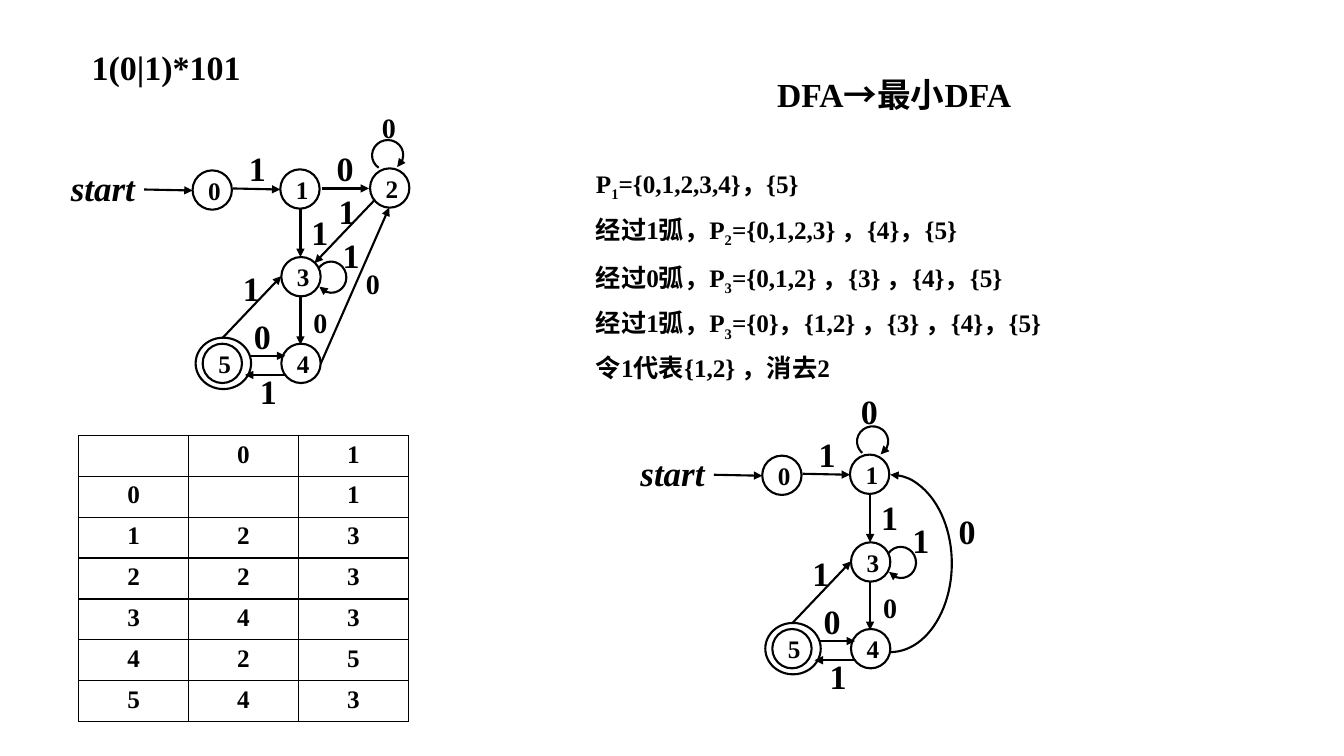
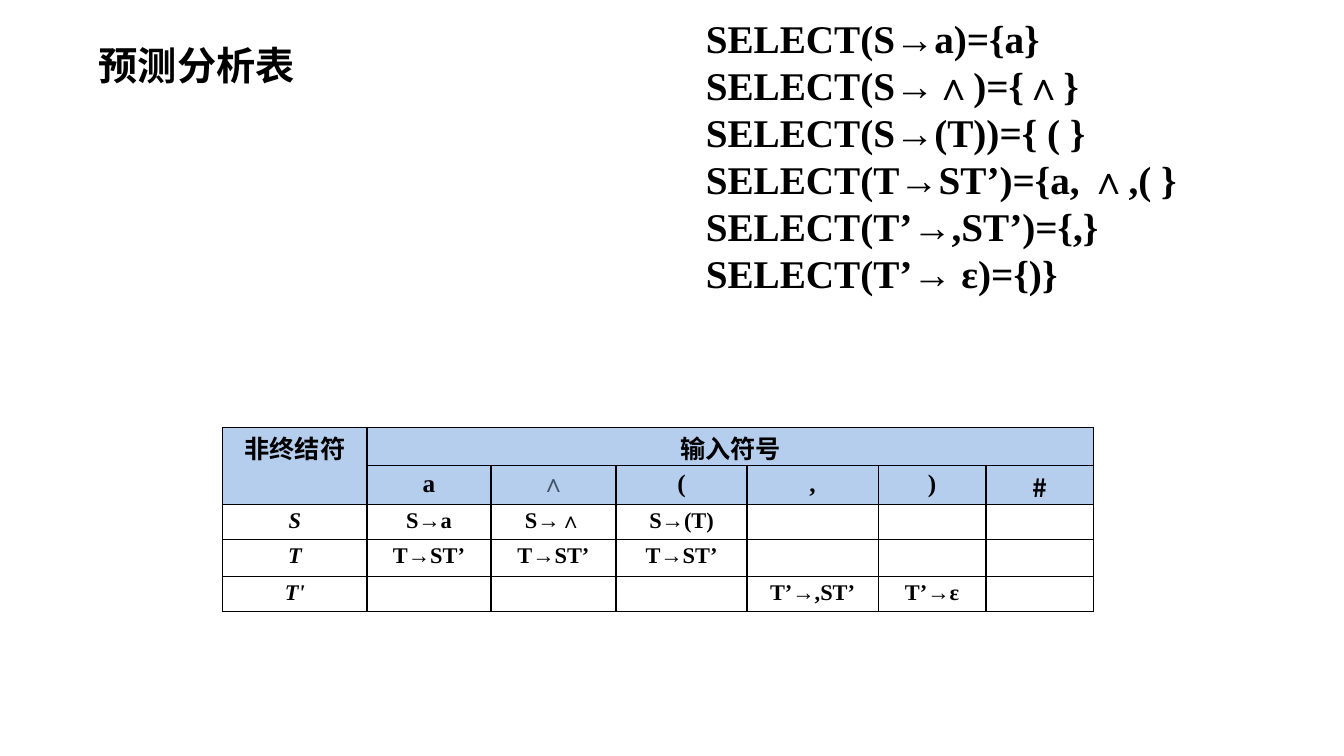
from lxml.etree import SubElement
from pptx import Presentation
from pptx.dml.color import RGBColor
from pptx.enum.shapes import MSO_CONNECTOR, MSO_SHAPE
from pptx.enum.text import MSO_ANCHOR, MSO_AUTO_SIZE, PP_ALIGN
from pptx.oxml.ns import qn
from pptx.util import Inches, Pt

BLACK = RGBColor(0x00, 0x00, 0x00)
SLATE = RGBColor(0x44, 0x54, 0x6A)
HEADER_BLUE = RGBColor(0xB5, 0xCE, 0xED)
LATIN, CJK = "Times New Roman", "Noto Sans CJK SC"


def write(frame, lines, size, align=PP_ALIGN.LEFT, spacing=None, font=LATIN):
    """Fill a text frame; a line given as a tuple becomes several runs."""
    for i, line in enumerate(lines):
        paragraph = frame.paragraphs[0] if i == 0 else frame.add_paragraph()
        paragraph.alignment = align
        paragraph.space_before = Pt(0)
        if spacing:
            paragraph.line_spacing = spacing
        for piece in line if isinstance(line, tuple) else (line,):
            if not piece:
                paragraph._p.get_or_add_endParaRPr().set("sz", str(size * 100))
                continue
            run = paragraph.add_run()
            run.text = piece
            run.font.size = Pt(size)
            run.font.bold = True
            run.font.name = font
            run.font.color.rgb = BLACK
            SubElement(run._r.get_or_add_rPr(), qn("a:ea")).set("typeface", CJK)


def stroke(shape, arrow=None):
    """Black outline without shadow; arrow is headEnd or tailEnd."""
    shape.line.color.rgb = BLACK
    shape.line.width = Pt(1.5)
    if arrow:
        SubElement(shape.line._get_or_add_ln(), qn(f"a:{arrow}")).set("type", "triangle")
    SubElement(shape._element.spPr, qn("a:effectLst"))


prs = Presentation()
prs.slide_width, prs.slide_height = Inches(13.33), Inches(7.5)

# Titles and lists in the placeholders of both slides
minimization_lines = [
    ("P", "1", "={0,1,2,3,4}，{5}"),
    ("经过1弧，P", "2", "={0,1,2,3} ，{4}，{5}"),
    ("经过0弧，P", "3", "={0,1,2} ，{3} ，{4}，{5}"),
    ("经过1弧，P", "3", "={0}，{1,2} ，{3} ，{4}，{5}"),
    "令1代表{1,2} ，消去2",
]
select_lines = [
    "SELECT(S→a)={a}",
    "SELECT(S→∧)={∧}",
    "SELECT(S→(T))={ ( }",
    "SELECT(T→ST’)={a, ∧,( }",
    "SELECT(T’→,ST’)={,}",
    "SELECT(T’→ ε)={)}",
]
slide_texts = [
    (("1(0|1)*101", 24.3, Pt(40), (0.81, 0.32, 10, 0.6), MSO_ANCHOR.BOTTOM),
     (minimization_lines, 18, Pt(32.5), (5.81, 1.51, 7.5, 2.4))),
    (("预测分析表", 28, None, (0.88, 0.36, 6.67, 0.57), MSO_ANCHOR.TOP),
     (select_lines, 28, None, (6.9, 0.09, 6.4, 2.93))),
]
for (heading, heading_size, heading_spacing, heading_box, anchor), \
        (lines, list_size, list_spacing, list_box) in slide_texts:
    slide = prs.slides.add_slide(prs.slide_layouts[1])
    title, body = slide.shapes.title, slide.placeholders[1]
    for holder, box in ((title, heading_box), (body, list_box)):
        holder.left, holder.top, holder.width, holder.height = map(Inches, box)
        holder.text_frame.auto_size = MSO_AUTO_SIZE.NONE
        holder.text_frame.vertical_anchor = MSO_ANCHOR.TOP
    title.text_frame.vertical_anchor = anchor
    write(title.text_frame, [heading], heading_size, spacing=heading_spacing)
    write(body.text_frame, lines, list_size, spacing=list_spacing)
    for paragraph in body.text_frame.paragraphs:
        pPr = paragraph._p.get_or_add_pPr()
        pPr.set("marL", "0")
        pPr.set("indent", "0")
        SubElement(pPr, qn("a:buNone"))

automata_slide, parsing_slide = prs.slides
steps = automata_slide.placeholders[1].text_frame.paragraphs
steps[2].space_before = Pt(2)
for step in steps[:4]:
    step.runs[1]._r.get_or_add_rPr().set("baseline", "-25000")
# The last step has no subscript, so its line is lower
steps[4].line_spacing = Pt(29)

# Heading of the minimization
shapes = automata_slide.shapes
minimal_heading = shapes.add_textbox(Inches(7.61), Inches(0.68), Inches(2.9), Inches(0.51))
write(minimal_heading.text_frame, [("DFA", "→", "最小DFA")], 24)
minimal_heading.text_frame.paragraphs[0].runs[1].font.name = CJK

# Both automata: the common part is shifted, the rest differs
states = [("0", 1.91, 1.69), ("1", 2.78, 1.68), ("3", 2.79, 2.55),
          ("4", 2.79, 3.41), ("5", 2.01, 3.41)]
edges = [(1.43, 1.88, 1.91, 1.89), (2.31, 1.87, 2.78, 1.88), (2.98, 2.07, 2.98, 2.55),
         (2.98, 2.94, 2.98, 3.42), (2.83, 3.72, 2.43, 3.72), (2.48, 3.53, 2.83, 3.53),
         (2.21, 3.35, 2.79, 2.74)]
labels = [("1", 2.37, 1.32), ("1", 2.99, 1.95), ("1", 3.3, 2.18), ("1", 2.48, 3.53),
          ("0", 2.42, 2.98), ("1", 2.31, 2.51)]
small_labels = [("0", 3.01, 2.98)]
loops = [(3.13, 2.6, 77.4)]

full_extras = {
    "states": [("2", 3.67, 1.67)],
    "edges": [(3.19, 1.87, 3.66, 1.87), (3.18, 3.61, 3.86, 2.06), (3.72, 1.98, 3.12, 2.61)],
    "labels": [("0", 3.24, 1.32), ("1", 3.26, 1.74)],
    "small_labels": [("0", 3.69, 1.05), ("0", 3.53, 2.59)],
    "loops": [(3.69, 1.39, 347.3)],
}
minimal_extras = {
    "states": [], "edges": [], "small_labels": [],
    "labels": [("0", 2.79, 0.9), ("0", 3.76, 2.09)],
    "loops": [(2.85, 1.4, 354)],
}
for dx, dy, extras in ((0, 0, full_extras), (5.65, 2.83, minimal_extras)):
    for name, x, y in states + extras["states"]:
        state = shapes.add_shape(MSO_SHAPE.OVAL, Inches(x + dx), Inches(y + dy),
                                 Inches(0.39), Inches(0.39))
        state.fill.background()
        stroke(state)
        state.text_frame.vertical_anchor = MSO_ANCHOR.MIDDLE
        write(state.text_frame, [name], 18, PP_ALIGN.CENTER)
    accepting_ring = shapes.add_shape(MSO_SHAPE.OVAL, Inches(1.94 + dx), Inches(3.35 + dy),
                                      Inches(0.55), Inches(0.51))
    accepting_ring.fill.background()
    stroke(accepting_ring)

    for x1, y1, x2, y2 in edges + extras["edges"]:
        edge = shapes.add_connector(MSO_CONNECTOR.STRAIGHT, Inches(x1 + dx), Inches(y1 + dy),
                                    Inches(x2 + dx), Inches(y2 + dy))
        stroke(edge, "tailEnd")
    for x, y, angle in loops + extras["loops"]:
        loop = shapes.add_shape(MSO_SHAPE.ARC, Inches(x + dx), Inches(y + dy),
                                Inches(0.31), Inches(0.3))
        # An arc adjustment is 0.6 per degree
        loop.adjustments[0], loop.adjustments[1] = 138 * 0.6, 64 * 0.6
        loop.rotation = angle
        loop.fill.background()
        stroke(loop, "tailEnd")

    for symbol, x, y in labels + extras["labels"]:
        label = shapes.add_textbox(Inches(x + dx), Inches(y + dy), Inches(0.39), Inches(0.6))
        label.text_frame.word_wrap = True
        label.text_frame.vertical_anchor = MSO_ANCHOR.BOTTOM
        write(label.text_frame, [symbol], 24.3, spacing=Pt(40))
    for symbol, x, y in small_labels + extras["small_labels"]:
        label = shapes.add_textbox(Inches(x + dx), Inches(y + dy), Inches(0.43), Inches(0.44))
        label.text_frame.word_wrap = True
        write(label.text_frame, [symbol], 20)
    start = shapes.add_textbox(Inches(0.52 + dx), Inches(1.61 + dy), Inches(1), Inches(0.5))
    start.text_frame.word_wrap = True
    start.text_frame.vertical_anchor = MSO_ANCHOR.MIDDLE
    write(start.text_frame, ["start"], 25, PP_ALIGN.CENTER)
    start.text_frame.paragraphs[0].runs[0].font.italic = True

# Return arc from state 4 to state 1 of the minimal automaton
return_arc = shapes.add_shape(MSO_SHAPE.ARC, Inches(8.22), Inches(4.71), Inches(1.22), Inches(1.76))
return_arc.adjustments[0], return_arc.adjustments[1] = 270 * 0.6, 90 * 0.6
return_arc.fill.background()
stroke(return_arc, "headEnd")

# Transition table and predictive parsing table
transitions = [["", "0", "1"], ["0", "", "1"], ["1", "2", "3"], ["2", "2", "3"],
               ["3", "4", "3"], ["4", "2", "5"], ["5", "4", "3"]]
parsing = [
    ["非终结符", "输入符号", "", "", "", "", ""],
    ["", "a", "∧", "(", ",", ")", "#"],
    ["S", "S→a", "S→∧", "S→(T)", "", "", ""],
    ["T", "T→ST’", "T→ST’", "T→ST’", "", "", ""],
    ["T'", "", "", "", "T’→,ST’", "T’→ε", ""],
]
table_specs = [
    (automata_slide, transitions, 0.78, 4.32, [1.09] * 3, [2.84 / 7] * 7, 0, 18, (0.1, 0.05)),
    (parsing_slide, parsing, 2.21, 4.24, [1.43, 1.23, 1.24, 1.3, 1.3, 1.07, 1.07],
     [0.38, 0.38, 0.34, 0.36, 0.34], 2, 16, (0.2, 0.04)),
]
for slide, rows, x, y, widths, heights, header_rows, size, (side, edge) in table_specs:
    table = slide.shapes.add_table(len(rows), len(widths), Inches(x), Inches(y),
                                   Inches(sum(widths)), Inches(sum(heights))).table
    for column, width in zip(table.columns, widths):
        column.width = Inches(width)
    for r, (row, height) in enumerate(zip(rows, heights)):
        table.rows[r].height = Inches(height)
        for c, value in enumerate(row):
            cell = table.cell(r, c)
            is_header = r < header_rows
            font = CJK if is_header and (r == 0 or value == "#") else LATIN
            # The taller CJK font needs slimmer margins to keep the row height
            top, bottom = (0.02, 0) if font == CJK else (edge, edge)
            cell.margin_left = cell.margin_right = Inches(side)
            cell.margin_top, cell.margin_bottom = Inches(top), Inches(bottom)
            write(cell.text_frame, [value], 18 if is_header else size, PP_ALIGN.CENTER, font=font)
            for side_tag in ("lnL", "lnR", "lnT", "lnB"):
                border = SubElement(cell._tc.get_or_add_tcPr(), qn(f"a:{side_tag}"), w="12700")
                color = SubElement(SubElement(border, qn("a:solidFill")), qn("a:srgbClr"))
                color.set("val", str(BLACK))
            if is_header:
                cell.fill.solid()
                cell.fill.fore_color.rgb = HEADER_BLUE
            else:
                cell.fill.background()

# Merged headings and special symbols of the parsing table
table.cell(0, 0).merge(table.cell(1, 0))
table.cell(0, 1).merge(table.cell(0, 6))
table.cell(1, 2).text_frame.paragraphs[0].runs[0].font.color.rgb = SLATE
for r in range(2, 5):
    table.cell(r, 0).text_frame.paragraphs[0].runs[0].font.italic = True

prs.save("out.pptx")
